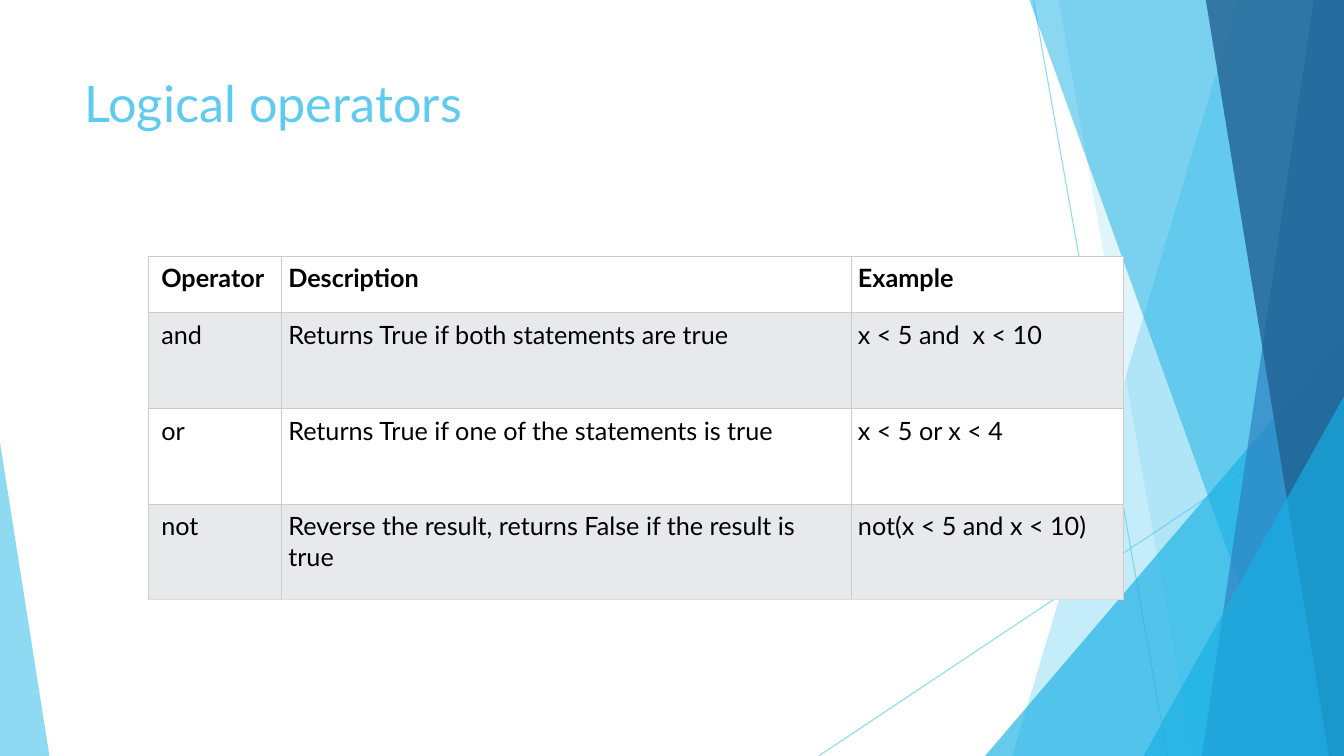
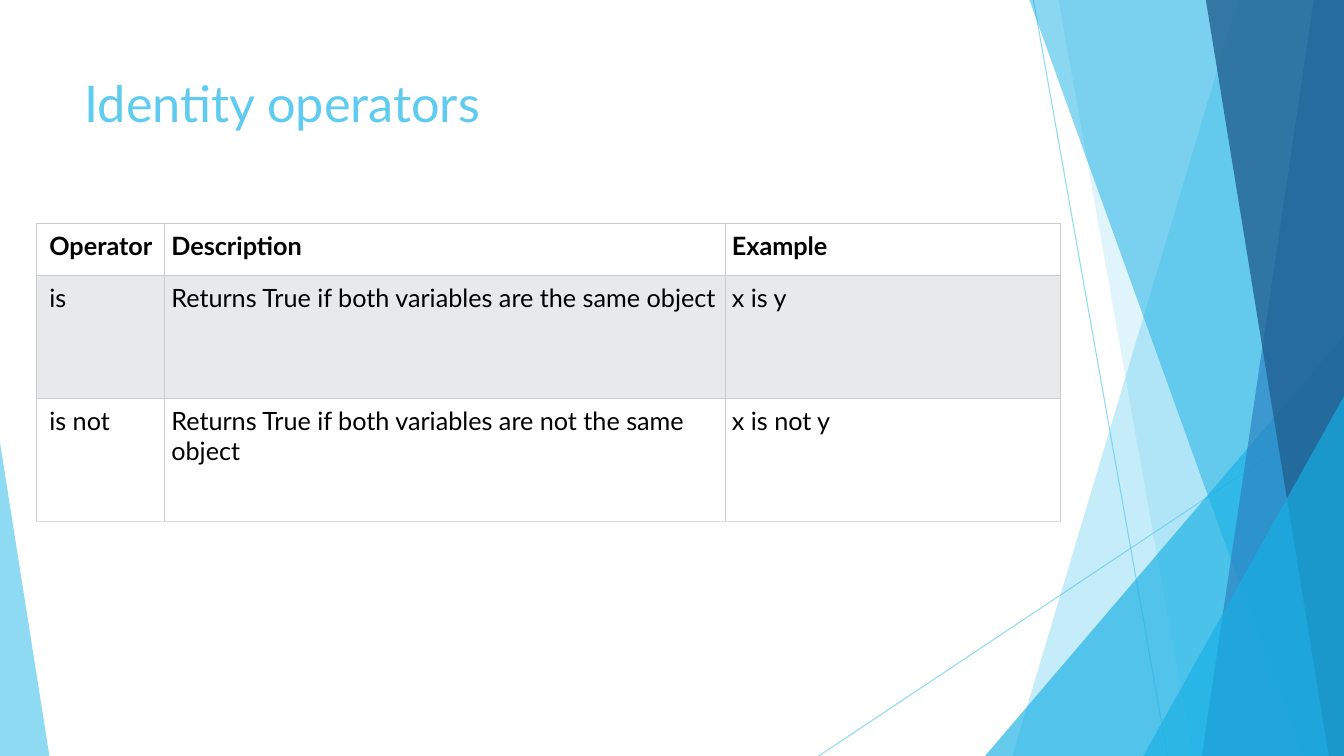
from lxml.etree import SubElement
from pptx import Presentation
from pptx.dml.color import RGBColor
from pptx.enum.shapes import MSO_CONNECTOR, MSO_SHAPE
from pptx.enum.text import MSO_ANCHOR
from pptx.oxml.ns import qn
from pptx.util import Pt

PX = 9144  # EMU per px, 100 px to the inch
WIDTH, HEIGHT = 1333, 750
FONT = "Lato"
COLOURS = {
    "sky": "5FCBEF", "cyan": "17B0E4", "blue": "2E83C3", "navy": "226292",
    "white": "FFFFFF", "stripe": "E7E9EB", "text": "000000",
    "border": "CCCCCC", "last border": "DDDDDD",
}

# Thin lines: from x, from y, to x, to y
RAYS = [(1025, 0, 1158, HEIGHT), (WIDTH, 403, 812, HEIGHT)]

# Back to front. A band gives its left edge at top and bottom and runs to the
# right of the page; a triangle gives left, top, width and apex (0 left, 1 right)
# and stands on the bottom of the page.
FACETS = [
    ("band", (1228, 1004), "sky", 36),
    ("band", (1050, 1183), "sky", 20),
    ("triangle", (977, 333, 356, 1), "cyan", 66),
    ("band", (1021, 1291), "cyan", 50),
    ("band", (1303, 1192), "blue", 70),
    ("band", (1196, 1318), "navy", 80),
    ("triangle", (1134, 393, 199, 1), "cyan", 66),
    ("triangle", (0, 439, 49, 0), "sky", 70),
]

HEADINGS = ("Operator", "Description", "Example")
SLIDES = [
    {
        "title": "Logical operators",
        "corner": (147, 254),
        "columns": (132, 565, 270),
        "heights": (56, 95),
        "rows": [
            ("and", "Returns True if both statements are true", "x < 5 and  x < 10"),
            ("or", "Returns True if one of the statements is true", "x < 5 or x < 4"),
            ("not", "Reverse the result, returns False if the result is true",
             "not(x < 5 and x < 10)"),
        ],
    },
    {
        "title": "Identity operators",
        "corner": (36, 222),
        "columns": (127, 556, 333),
        "heights": (51, 122),
        "rows": [
            ("is", "Returns True if both variables are the same object", "x is y"),
            ("is not", "Returns True if both variables are not the same object",
             "x is not y"),
        ],
    },
]


def paint(fill, colour, alpha=100):
    """Make a fill solid, with alpha as percent opacity."""
    fill.solid()
    fill.fore_color.rgb = RGBColor.from_string(COLOURS[colour])
    if alpha < 100:
        tint = fill._xPr.find(qn("a:solidFill"))[0]
        SubElement(tint, qn("a:alpha"), val=str(alpha * 1000))


def add_span(para, text, size, colour, bold=False):
    span = para.add_run()
    span.text = text
    span.font.name = FONT
    span.font.size = Pt(size)
    span.font.bold = bold
    span.font.color.rgb = RGBColor.from_string(COLOURS[colour])


deck = Presentation()
deck.slide_width, deck.slide_height = WIDTH * PX, HEIGHT * PX

for content in SLIDES:
    page = deck.slides.add_slide(deck.slide_layouts[6])

    # Backdrop
    for ends in RAYS:
        ray = page.shapes.add_connector(
            MSO_CONNECTOR.STRAIGHT, *(end * PX for end in ends))
        ray.line.width = Pt(0.75)
        paint(ray.line.fill, "sky", 70)
        SubElement(ray._element.spPr, qn("a:effectLst"))

    for kind, place, colour, alpha in FACETS:
        if kind == "band":
            top_edge, bottom_edge = place
            outline = page.shapes.build_freeform(top_edge, 0, scale=PX)
            outline.add_line_segments(
                [(WIDTH, 0), (WIDTH, HEIGHT), (bottom_edge, HEIGHT)], close=True)
            facet = outline.convert_to_shape()
        else:
            left, top, width, apex = place
            facet = page.shapes.add_shape(
                MSO_SHAPE.ISOSCELES_TRIANGLE,
                left * PX, top * PX, width * PX, (HEIGHT - top) * PX)
            facet.adjustments[0] = apex
        paint(facet.fill, colour, alpha)
        facet.line.fill.background()
        facet.shadow.inherit = False

    # Title
    box = page.shapes.add_textbox(74 * PX, 67 * PX, 940 * PX, 144 * PX)
    box.text_frame.word_wrap = True
    box.text_frame.vertical_anchor = MSO_ANCHOR.TOP
    add_span(box.text_frame.paragraphs[0], content["title"], 36, "sky")

    # Table
    rows = [HEADINGS, *content["rows"]]
    heading_height, row_height = content["heights"]
    left, top = content["corner"]
    table = page.shapes.add_table(
        len(rows), len(HEADINGS), left * PX, top * PX,
        sum(content["columns"]) * PX,
        (heading_height + row_height * len(content["rows"])) * PX).table
    table.first_row = table.horz_banding = False
    for column, width in zip(table.columns, content["columns"]):
        column.width = width * PX

    for row_number, texts in enumerate(rows):
        heading = row_number == 0
        last = row_number == len(rows) - 1
        table.rows[row_number].height = (heading_height if heading else row_height) * PX
        for column_number, text in enumerate(texts):
            cell = table.cell(row_number, column_number)
            cell.margin_left = (13 if column_number == 0 else 7) * PX
            cell.margin_top = cell.margin_right = cell.margin_bottom = 7 * PX
            properties = cell._tc.get_or_add_tcPr()
            for side in ("lnL", "lnR", "lnT", "lnB"):
                shade = "last border" if last and side == "lnB" else "border"
                edge = SubElement(properties, qn(f"a:{side}"), w=str(Pt(0.6)))
                edge_fill = SubElement(edge, qn("a:solidFill"))
                SubElement(edge_fill, qn("a:srgbClr"), val=COLOURS[shade])
            paint(cell.fill, "stripe" if row_number % 2 else "white")
            add_span(cell.text_frame.paragraphs[0], text, 18, "text", heading)

deck.save("out.pptx")
